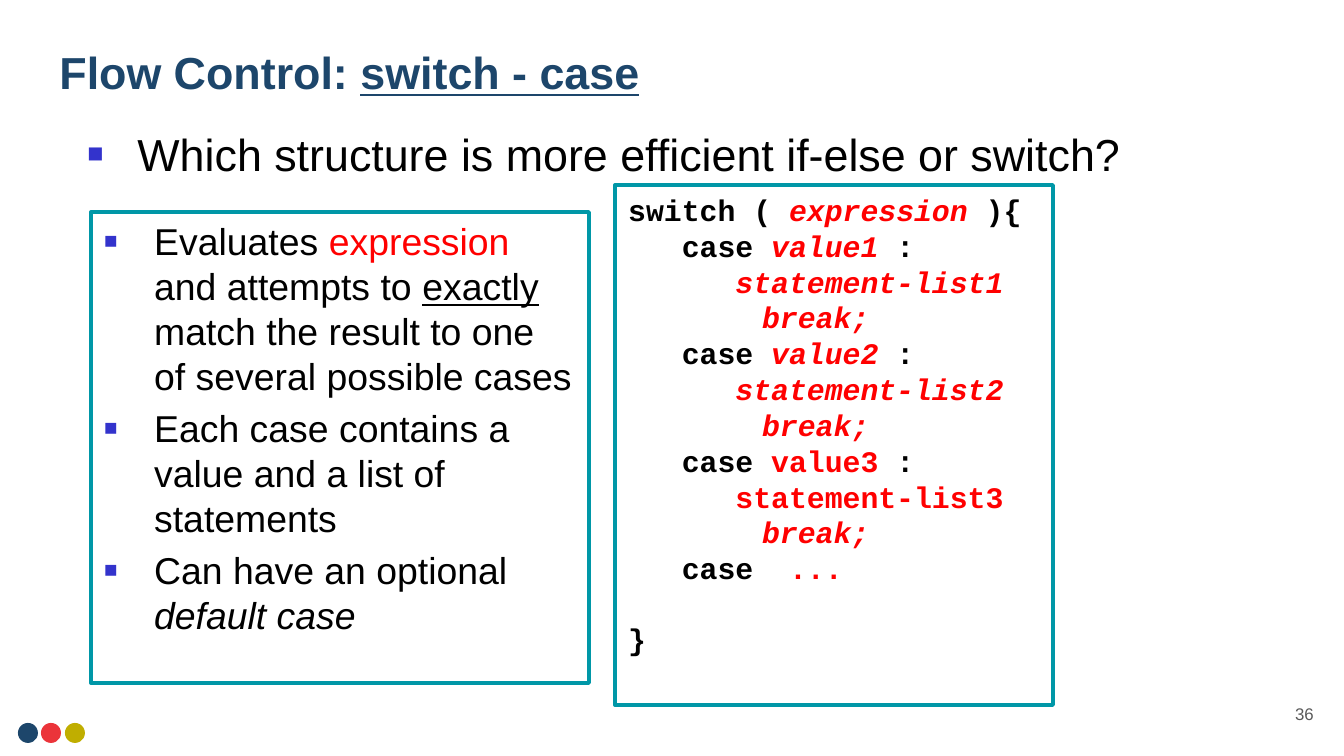
"""Build the slide on switch - case flow control."""
from lxml import etree
from pptx import Presentation
from pptx import util as u
from pptx.dml.color import RGBColor
from pptx.enum import shapes, text
from pptx.oxml import ns

PX = 914400 / 134.4
NAVY, TEAL, RED, BLACK = "1D466B", "0097A7", "FF0000", "000000"


def px(*values):
    return [u.Emu(round(v * PX)) for v in values]


def write(p, runs, size, name="Arial", color=BLACK, bullet=False, tab=None, exact=True):
    pPr = p._p.get_or_add_pPr()
    if exact:
        p.line_spacing = u.Pt(size * 1.2)
    p.space_before = u.Pt(0)
    if bullet:
        pPr.set("marL", str(px(50)[0]))
        pPr.set("indent", str(px(-50)[0]))
        clr = etree.SubElement(pPr, ns.qn("a:buClr"))
        etree.SubElement(clr, ns.qn("a:srgbClr"), val="3333CC")
        etree.SubElement(pPr, ns.qn("a:buSzPct"), val="60000")
        etree.SubElement(pPr, ns.qn("a:buFont"), typeface="Arial")
        etree.SubElement(pPr, ns.qn("a:buChar"), char="■")
    if tab:
        tabs = etree.SubElement(pPr, ns.qn("a:tabLst"))
        etree.SubElement(tabs, ns.qn("a:tab"), pos=str(px(tab)[0]), algn="l")
    for words, fmt in runs:
        r = p.add_run()
        r.text = words
        look = {"size": u.Pt(size), "name": name, **fmt}
        r.font.color.rgb = RGBColor.from_string(look.pop("color", color))
        for key, value in look.items():
            setattr(r.font, key, value)


prs = Presentation()
prs.slide_width, prs.slide_height = px(1344, 756)
s = prs.slides.add_slide(prs.slide_layouts[1])

for x, color in ((18, NAVY), (41, "EB343A"), (65, "C0AE00")):
    sp = s.shapes.add_shape(shapes.MSO_SHAPE.OVAL, *px(x, 723, 20, 20))
    sp.shadow.inherit = False
    sp.fill.solid()
    sp.fill.fore_color.rgb = RGBColor.from_string(color)
    sp.line.fill.background()

title, body = s.placeholders
number = s.shapes.add_textbox(*px(1246, 685, 81, 58))
for sp, box, anchor, align in (
    (title, (46, 31, 1253, 82), text.MSO_ANCHOR.MIDDLE, text.PP_ALIGN.LEFT),
    (body, (74, 120, 1132, 67), text.MSO_ANCHOR.TOP, text.PP_ALIGN.LEFT),
    (number, (1246, 685, 81, 58), text.MSO_ANCHOR.MIDDLE, text.PP_ALIGN.RIGHT),
):
    sp.left, sp.top, sp.width, sp.height = px(*box)
    tf = sp.text_frame
    tf.word_wrap, tf.auto_size = True, text.MSO_AUTO_SIZE.NONE
    tf.vertical_anchor = anchor
    tf.paragraphs[0].alignment = align

write(title.text_frame.paragraphs[0],
      [("Flow Control: ", {}), ("switch - case", {"underline": True})],
      24, color=NAVY, exact=False)
for r in title.text_frame.paragraphs[0].runs:
    r.font.bold = True
write(body.text_frame.paragraphs[0],
      [("Which structure is more efficient if-else or switch?", {})], 24, bullet=True)
write(number.text_frame.paragraphs[0], [("36", {})], 9, color="595959", exact=False)

red = {"color": RED}
slanted = {"color": RED, "italic": True}
points = [
    [("Evaluates ", {}), ("expression", red), (" and attempts to ", {}),
     ("exactly", {"underline": True}),
     (" match the result to one of several possible cases", {})],
    [("Each case contains a value and a list of statements", {})],
    [("Can have an optional ", {}), ("default case", {"italic": True})],
]
code = [[("switch ( ", {}), ("expression", slanted), (" ){", {})]]
for n, fmt in ((1, slanted), (2, slanted), (3, red)):
    code += [
        [("   case ", {}), (f"value{n}", fmt), (" :", {})],
        [("      ", {}), (f"statement-list{n}", fmt)],
        [("\tbreak;", slanted)],
    ]
code += [[("   case  ", {}), ("...", red)], [("}", {})]]

for box, line, lines, gap, look in (
    ((91, 212, 498, 471), 2, points, 4, {"size": 20, "bullet": True}),
    ((615, 185, 438, 520), 3, code, 0, {"size": 16, "name": "Courier New", "tab": 134}),
):
    sp = s.shapes.add_shape(shapes.MSO_SHAPE.RECTANGLE, *px(*box))
    sp.shadow.inherit = False
    sp.fill.solid()
    sp.fill.fore_color.rgb = RGBColor.from_string("FFFFFF")
    sp.line.color.rgb = RGBColor.from_string(TEAL)
    sp.line.width = u.Pt(2)
    tf = sp.text_frame
    tf.word_wrap, tf.vertical_anchor = True, text.MSO_ANCHOR.TOP
    for i, runs in enumerate(lines):
        p = tf.add_paragraph() if i else tf.paragraphs[0]
        p.alignment = text.PP_ALIGN.LEFT
        write(p, runs, **look)
        p.space_before = u.Pt(gap if i else 0)
        if lines is code:
            for r in p.runs:
                r.font.bold = True
p.space_before = u.Pt(19)

prs.save("out.pptx")
